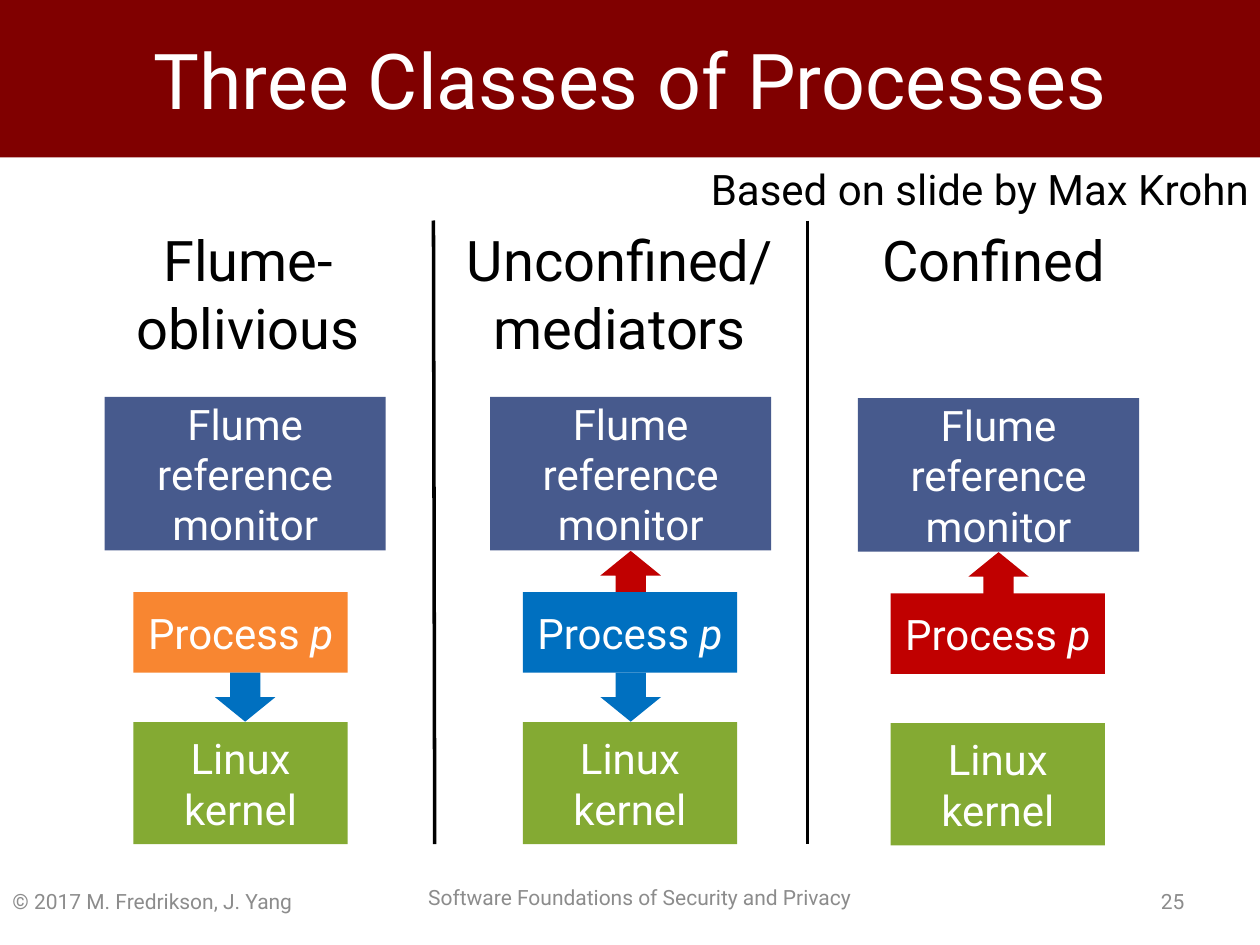
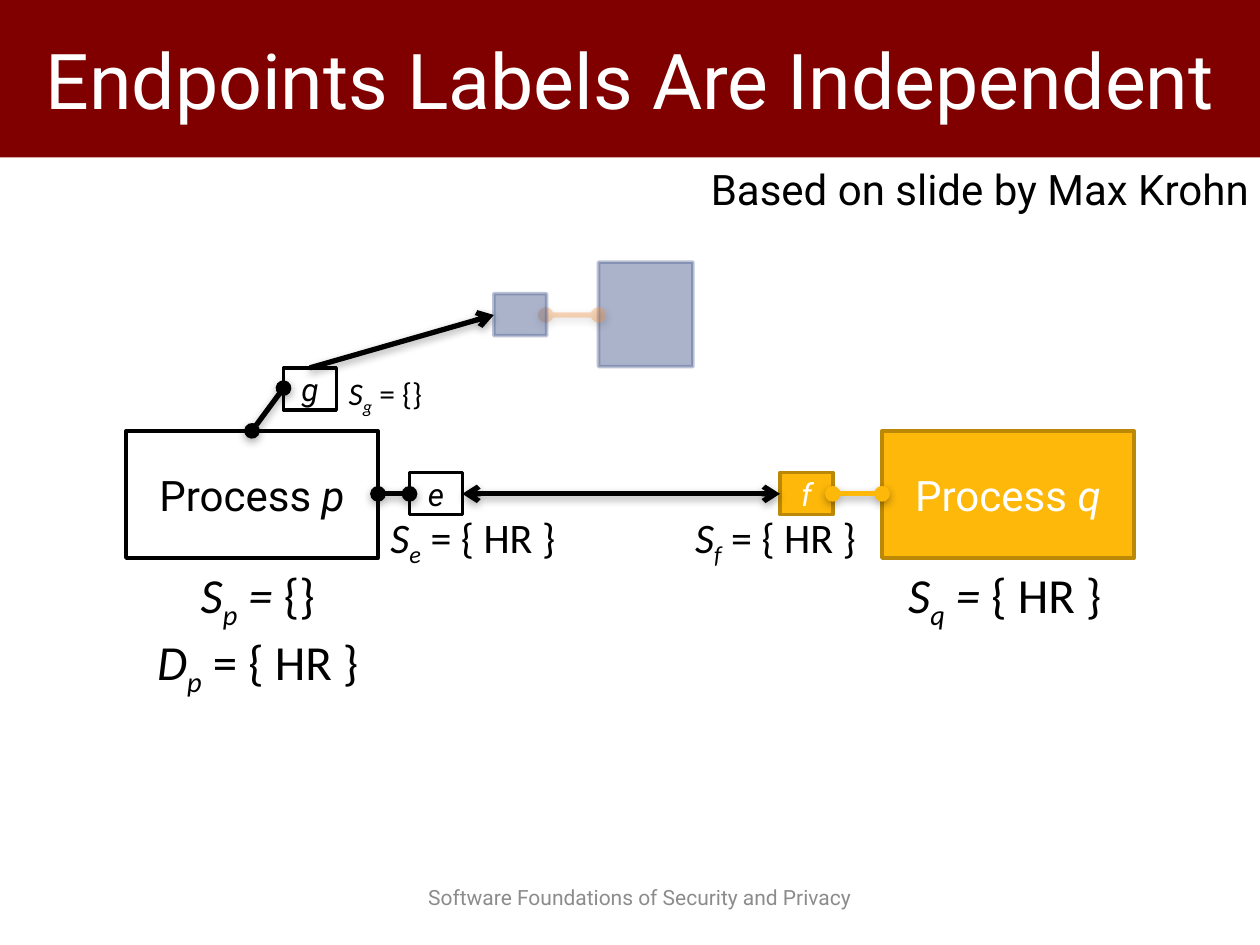
"""Build two slides on Flume process classes and endpoint labels."""
import pptx
import pptx.dml.color
import pptx.enum.shapes
import pptx.enum.text
import pptx.oxml
import pptx.oxml.ns
import pptx.util
from lxml import etree

Pt = pptx.util.Pt
RGB = pptx.dml.color.RGBColor
SHAPE = pptx.enum.shapes.MSO_SHAPE
ALIGN = pptx.enum.text.PP_ALIGN
ANCHOR = pptx.enum.text.MSO_ANCHOR
AUTO = pptx.enum.text.MSO_AUTO_SIZE
qn = pptx.oxml.ns.qn

BLACK = RGB(0x00, 0x00, 0x00)
WHITE = RGB(0xFF, 0xFF, 0xFF)
MAROON = RGB(0x80, 0x00, 0x00)
GRAY = RGB(0x8C, 0x8C, 0x8C)
NAVY = RGB(0x47, 0x5A, 0x8D)
GREEN = RGB(0x84, 0xAA, 0x33)
ORANGE = RGB(0xF8, 0x86, 0x31)
PALE_ORANGE = RGB(0xF7, 0x96, 0x46)
BLUE = RGB(0x00, 0x70, 0xC0)
RED = RGB(0xC0, 0x00, 0x00)
GOLD = RGB(0xFE, 0xB8, 0x0A)
DARK_GOLD = RGB(0xBC, 0x88, 0x07)


class Deck:
    def __init__(self):
        self.prs = pptx.Presentation()
        self.prs.slide_width = Pt(720)
        self.prs.slide_height = Pt(540)
        self.s = None

    def add_runs(self, tf, paragraphs, size, color, font="Roboto", align=ALIGN.CENTER):
        for i, runs in enumerate(paragraphs):
            p = tf.add_paragraph() if i else tf.paragraphs[0]
            p.alignment = align
            for text, style in runs:
                r = p.add_run()
                r.text = text
                r.font.name = font
                r.font.size = Pt(size)
                r.font.color.rgb = color
                r.font.italic = style in ("italic", "sub")
                if style == "sub":
                    r._r.get_or_add_rPr().set("baseline", "-25000")

    def fade(self, element, percent):
        color = element.find(qn("a:solidFill")).find(qn("a:srgbClr"))
        etree.SubElement(color, qn("a:alpha")).set("val", str(percent * 1000))

    def slide(self, title):
        self.s = self.prs.slides.add_slide(self.prs.slide_layouts[5])
        sp = self.s.shapes.title
        sp.left, sp.top, sp.width, sp.height = Pt(0), Pt(0), Pt(720.7), Pt(90)
        sp.fill.solid()
        sp.fill.fore_color.rgb = MAROON
        tf = sp.text_frame
        tf.word_wrap = True
        tf.auto_size = AUTO.NONE
        tf.vertical_anchor = ANCHOR.MIDDLE
        self.add_runs(tf, [[(title, "")]], 44, WHITE)
        self.footer("Software Foundations of Security and Privacy", 237.6, 498.2, 259.2)
        self.text([[("Based on slide by Max Krohn", "")]], 337.7, 90, 383, 36, 24, align=ALIGN.RIGHT)

    def text(self, paragraphs, x, y, w, h, size, color=BLACK, font="Roboto",
             align=ALIGN.LEFT, wrap=True, grow=True, anchor=ANCHOR.TOP):
        tf = self.s.shapes.add_textbox(Pt(x), Pt(y), Pt(w), Pt(h)).text_frame
        tf.word_wrap = wrap
        tf.auto_size = AUTO.SHAPE_TO_FIT_TEXT if grow else AUTO.NONE
        tf.vertical_anchor = anchor
        self.add_runs(tf, paragraphs, size, color, font, align)

    def footer(self, text, x, y, w, align=ALIGN.LEFT):
        self.text([[(text, "")]], x, y, w, 28.8, 12, GRAY, align=align, grow=False, anchor=ANCHOR.MIDDLE)

    def formula(self, paragraphs, x, y, w, h, size, align=ALIGN.LEFT):
        self.text(paragraphs, x, y, w, h, size, font="Calibri", align=align, wrap=False)

    def box(self, runs, x, y, w, h, fill, size=24, color=WHITE, line=None, faded=False, kind=SHAPE.RECTANGLE):
        sp = self.s.shapes.add_shape(kind, Pt(x), Pt(y), Pt(w), Pt(h))
        sp.shadow.inherit = False
        sp.fill.solid()
        sp.fill.fore_color.rgb = fill
        if line is None:
            sp.line.fill.background()
        else:
            sp.line.color.rgb = line
            sp.line.width = Pt(2)
        if faded:
            spPr = sp._element.spPr
            self.fade(spPr, 46)
            self.fade(spPr.find(qn("a:ln")), 37)
        if runs:
            tf = sp.text_frame
            tf.word_wrap = True
            tf.vertical_anchor = ANCHOR.MIDDLE
            self.add_runs(tf, [runs], size, color)
        return sp

    def arrow(self, x, y, fill, rotation=0):
        sp = self.box([], x, y, 34.6, 28.1, fill, kind=SHAPE.DOWN_ARROW)
        sp.rotation = rotation

    def line(self, x1, y1, x2, y2, color=BLACK, width=3, head=None, tail=None, faded=False, shadow=True):
        c = self.s.shapes.add_connector(pptx.enum.shapes.MSO_CONNECTOR.STRAIGHT, Pt(x1), Pt(y1), Pt(x2), Pt(y2))
        c.line.color.rgb = color
        c.line.width = Pt(width)
        spPr = c._element.spPr
        ln = spPr.find(qn("a:ln"))
        if faded:
            self.fade(ln, 37)
        for tag, end in (("a:headEnd", head), ("a:tailEnd", tail)):
            if end:
                etree.SubElement(ln, qn(tag)).set("type", end)
        effects = etree.SubElement(spPr, qn("a:effectLst"))
        if shadow:
            outer = etree.SubElement(effects, qn("a:outerShdw"), blurRad=str(Pt(5)),
                                     dist=str(Pt(1.8)), dir="5400000", rotWithShape="0")
            black = etree.SubElement(outer, qn("a:srgbClr"), val="000000")
            etree.SubElement(black, qn("a:alpha"), val="35000")


def process_classes(deck):
    deck.slide("Three Classes of Processes")
    deck.footer("25", 516.2, 500.4, 167.8, ALIGN.RIGHT)
    deck.footer("© 2017 M. Fredrikson, J. Yang", 0, 500.4, 228.2)
    deck.line(247.7, 126, 248.4, 482.4, width=2, shadow=False)
    deck.line(461.5, 126, 461.5, 482.4, width=2, shadow=False)
    columns = [
        ("Flume-oblivious", 36, 59.8, 76.3, 226.8, ORANGE, False, True),
        ("Unconfined/mediators", 248.4, 280.1, 298.8, 226.8, BLUE, True, True),
        ("Confined", 462.2, 490.3, 509, 227.5, RED, True, False),
    ]
    for heading, heading_x, monitor_x, box_x, top, color, to_monitor, to_kernel in columns:
        arrow_x = monitor_x + 63
        deck.text([[(heading, "")]], heading_x, 125.5, 211.7, 85, 32, align=ALIGN.CENTER)
        if to_monitor:
            deck.arrow(arrow_x, top + 88, RED, 180)
        deck.box([("Linux kernel", "")], box_x, top + 185.8, 122.4, 69.8, GREEN)
        deck.box([("Flume reference monitor", "")], monitor_x, top, 160.6, 87.8, NAVY)
        deck.box([("Process ", ""), ("p", "italic")], box_x, top + 111.6, 122.4, 46, color)
        if to_kernel:
            deck.arrow(arrow_x, top + 157.5, BLUE)


def endpoint_labels(deck):
    deck.slide("Endpoints Labels Are Independent")

    def endpoint(name, x, y, fill=WHITE, color=BLACK, line=BLACK):
        deck.box([(name, "italic")], x, y, 30.2, 24, fill, 18, color, line)

    def process(name, x, fill, color, line):
        deck.box([("Process ", ""), (name, "italic")], x, 246.2, 144, 72.7, fill, 24, color, line)

    def label(letter, name, *value):
        return [(letter, "italic"), (name, "sub"), *value]

    hr = (" = { HR }", "")
    equals = (" = ", "italic")
    endpoint("f", 445.7, 270, GOLD, WHITE, DARK_GOLD)
    endpoint("g", 162, 210.2)
    deck.formula([label("S", "f", hr)], 390.2, 288.7, 108, 36.7, 24)
    deck.formula([label("S", "g", (" = {}", ""))], 192.2, 210.2, 57.6, 28.8, 18)
    deck.formula([label("S", "e", hr)], 216, 288.7, 110.2, 36.7, 24)

    deck.box([], 342, 149.8, 54, 59.8, NAVY, line=NAVY, faded=True)
    deck.line(342, 180, 311.8, 180, PALE_ORANGE, head="oval", tail="oval", faded=True)
    deck.box([], 282.2, 167.8, 30.2, 24, NAVY, line=NAVY, faded=True)

    process("q", 504, GOLD, WHITE, DARK_GOLD)
    process("p", 72, WHITE, BLACK, BLACK)
    deck.formula([label("S", "q", equals, ("{ HR }", ""))], 511.9, 319, 127.4, 41, 28)
    deck.formula([label("S", "p", equals, ("{}", "")), label("D", "p", hr)],
                 78.5, 319, 137.5, 74.9, 28, ALIGN.CENTER)
    endpoint("e", 234, 270)

    deck.line(216, 282.2, 234, 282.2, head="oval", tail="oval")
    deck.line(264.2, 282.2, 445.7, 282.2, head="arrow", tail="arrow")
    deck.line(162, 221.8, 144, 246.2, head="oval", tail="oval")
    deck.line(177.1, 210.2, 282.2, 180, tail="arrow")
    deck.line(504, 282.2, 475.9, 282.2, GOLD, head="oval", tail="oval")


def main():
    deck = Deck()
    process_classes(deck)
    endpoint_labels(deck)
    deck.prs.save("out.pptx")


if __name__ == "__main__":
    main()
